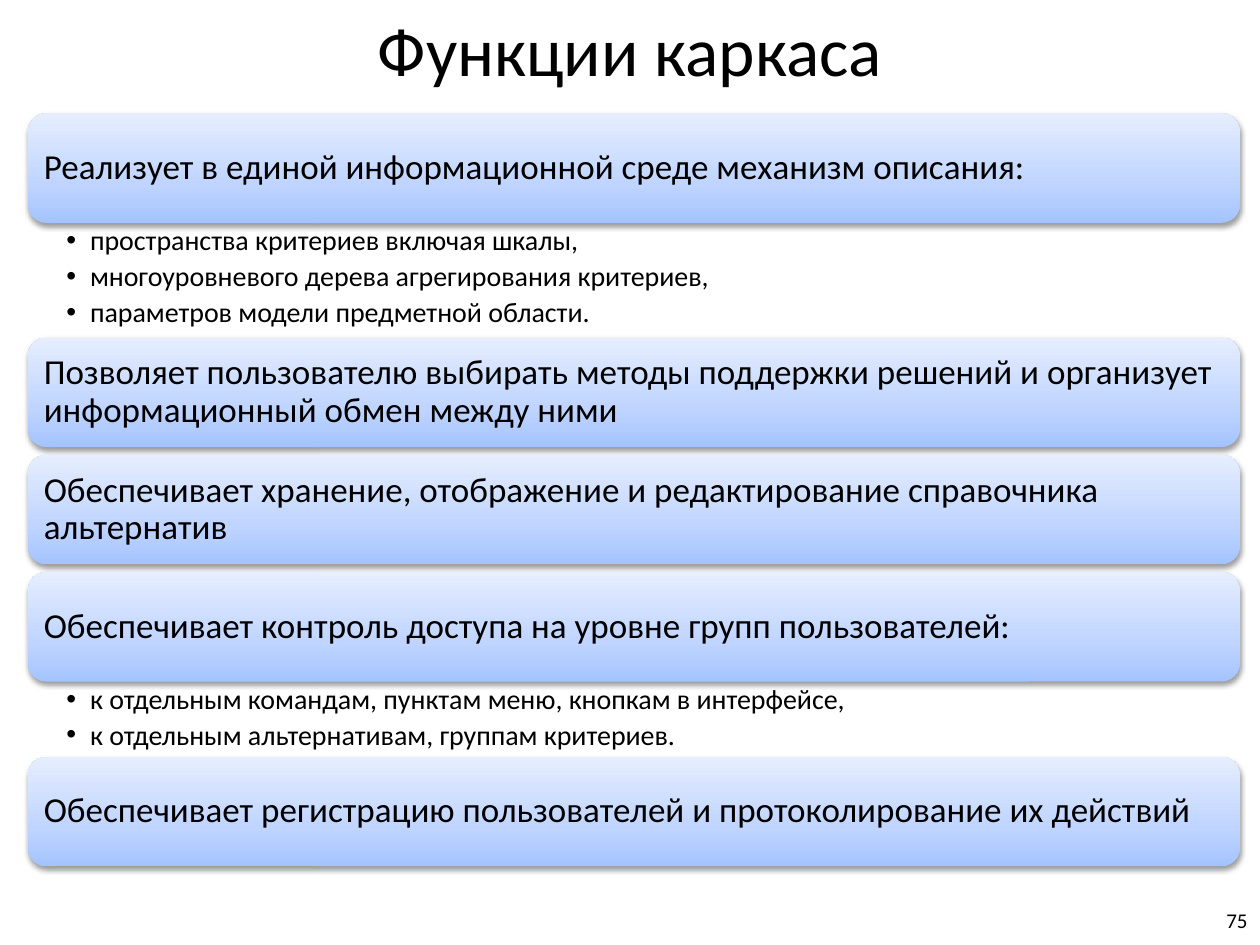
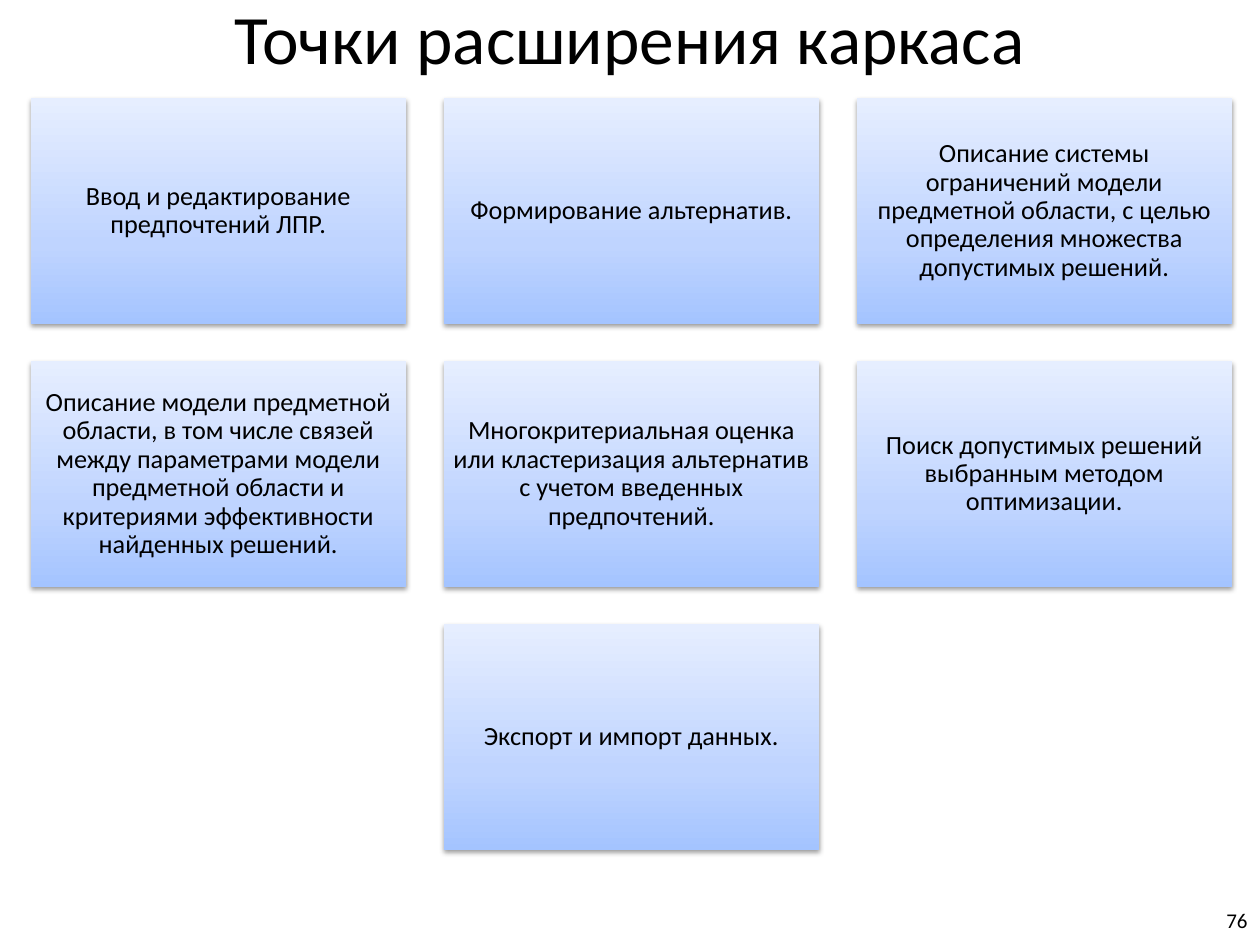
from dataclasses import dataclass

from lxml import etree
from pptx import Presentation
from pptx.dml.color import RGBColor
from pptx.enum.shapes import MSO_SHAPE as Preset
from pptx.enum.text import MSO_ANCHOR as Anchor, MSO_AUTO_SIZE as AutoSize, PP_ALIGN as Align
from pptx.oxml.ns import qn
from pptx.util import Pt

COLORS = {"text": "000000", "deep": "A4C4FF", "middle": "BFD4FF", "light": "E6EEFF", "shadow": "000000"}
PANEL_GRADIENT = ((0, "deep"), (35, "middle"), (100, "light"))
FONT = "Calibri"
SLIDE_WIDTH, SLIDE_HEIGHT = 720, 540


@dataclass
class Box:
    """A rectangle measured in points."""
    left: float
    top: float
    width: float
    height: float

    def lengths(self) -> tuple:
        return Pt(self.left), Pt(self.top), Pt(self.width), Pt(self.height)


@dataclass
class Function:
    """A function of the framework with its details."""
    heading: str
    details: tuple = ()
    details_height: float = 0


FUNCTIONS = (
    Function("Реализует в единой информационной среде механизм описания:",
             ("пространства критериев включая шкалы,",
              "многоуровневого дерева агрегирования критериев,",
              "параметров модели предметной области."), 65.5),
    Function("Позволяет пользователю выбирать методы поддержки решений "
             "и организует информационный обмен между ними"),
    Function("Обеспечивает хранение, отображение и редактирование справочника альтернатив"),
    Function("Обеспечивает контроль доступа на уровне групп пользователей:",
             ("к отдельным командам, пунктам меню, кнопкам в интерфейсе,",
              "к отдельным альтернативам, группам критериев."), 43),
    Function("Обеспечивает регистрацию пользователей и протоколирование их действий"),
)

EXTENSION_POINTS = (
    "Ввод и редактирование предпочтений ЛПР.",
    "Формирование альтернатив.",
    "Описание системы ограничений модели предметной области, с целью "
    "определения множества допустимых решений.",
    "Описание модели предметной области, в том числе связей между параметрами модели "
    "предметной области и критериями эффективности найденных решений.",
    "Многокритериальная оценка или кластеризация альтернатив с учетом введенных предпочтений.",
    "Поиск допустимых решений выбранным методом оптимизации.",
    "Экспорт и импорт данных.",
)


def add_bullet(paragraph, indent: float) -> None:
    properties = paragraph._p.get_or_add_pPr()
    properties.set("marL", str(Pt(indent)))
    properties.set("indent", str(-Pt(indent)))
    etree.SubElement(properties, qn("a:buFont"), typeface="Arial")
    etree.SubElement(properties, qn("a:buChar"), char="•")


def write(shape, *lines: str, size: float, align=Align.LEFT, anchor=Anchor.MIDDLE,
          margins: tuple = (7.2, 3.6, 7.2, 3.6), line_spacing: float = 1,
          space_after: float = 0, bullet_indent: float = 0) -> None:
    frame = shape.text_frame
    frame.word_wrap = True
    frame.auto_size = AutoSize.NONE
    frame.vertical_anchor = anchor
    (frame.margin_left, frame.margin_top,
     frame.margin_right, frame.margin_bottom) = map(Pt, margins)
    for index, line in enumerate(lines):
        paragraph = frame.paragraphs[0] if index == 0 else frame.add_paragraph()
        paragraph.alignment = align
        paragraph.line_spacing = line_spacing
        paragraph.space_after = Pt(space_after)
        if bullet_indent:
            add_bullet(paragraph, bullet_indent)
        run = paragraph.add_run()
        run.text = line
        run.font.name = FONT
        run.font.size = Pt(size)
        run.font.color.rgb = RGBColor.from_string(COLORS["text"])


def add_text(slide, box: Box, *lines: str, **text_format) -> None:
    write(slide.shapes.add_textbox(*box.lengths()), *lines, **text_format)


def add_panel(slide, preset, box: Box, text: str, **text_format) -> None:
    """Draw a gradient panel with a soft shadow and its text."""
    panel = slide.shapes.add_shape(preset, *box.lengths())
    panel.line.fill.background()
    panel.fill.gradient()
    panel.fill.gradient_angle = 90
    properties = panel._element.spPr
    stops = properties.find(qn("a:gradFill")).find(qn("a:gsLst"))
    for stop in list(stops):
        stops.remove(stop)
    for percent, color in PANEL_GRADIENT:
        stop = etree.SubElement(stops, qn("a:gs"), pos=str(percent * 1000))
        etree.SubElement(stop, qn("a:srgbClr"), val=COLORS[color])

    panel.shadow.inherit = False
    shadow = etree.SubElement(properties.find(qn("a:effectLst")), qn("a:outerShdw"),
                              blurRad=str(Pt(3.1)), dist=str(Pt(1.6)),
                              dir="5400000", rotWithShape="0")
    shade = etree.SubElement(shadow, qn("a:srgbClr"), val=COLORS["shadow"])
    etree.SubElement(shade, qn("a:alpha"), val="38000")
    write(panel, text, line_spacing=0.9, **text_format)


def add_titled_slide(deck, title: str, title_box: Box, number: int):
    slide = deck.slides.add_slide(deck.slide_layouts[5])
    heading = slide.shapes.title
    heading.left, heading.top, heading.width, heading.height = title_box.lengths()
    write(heading, title, size=39.6, align=Align.CENTER)
    add_text(slide, Box(552, 511, 168, 29), str(number), size=12, align=Align.RIGHT)
    return slide


def build_functions(deck) -> None:
    slide = add_titled_slide(deck, "Функции каркаса", Box(36, 0, 648, 55.5), 75)
    left, top, width, bar_height, gap = 16, 64.8, 692.5, 62.6, 4.4
    for function in FUNCTIONS:
        add_panel(slide, Preset.ROUNDED_RECTANGLE, Box(left, top, width, bar_height),
                  function.heading, size=20, margins=(6, 6, 6, 6))
        top += bar_height
        if function.details:
            add_text(slide, Box(left, top, width, function.details_height), *function.details,
                     size=16, anchor=Anchor.TOP, margins=(22, 2, 11.5, 2),
                     line_spacing=0.9, space_after=3.2, bullet_indent=13.5)
        top += function.details_height or gap


def build_extension_points(deck) -> None:
    slide = add_titled_slide(deck, "Точки расширения каркаса", Box(36, 8, 648, 26.5), 76)
    columns, left, top, width, height, gap = 3, 17.5, 56.2, 214.5, 128.8, 21.5
    for index, point in enumerate(EXTENSION_POINTS):
        row, column = divmod(index, columns)
        in_row = min(columns, len(EXTENSION_POINTS) - row * columns)
        # A short row is centred
        column += (columns - in_row) / 2
        card = Box(left + column * (width + gap), top + row * (height + gap), width, height)
        add_panel(slide, Preset.RECTANGLE, card, point, size=15,
                  align=Align.CENTER, margins=(4.5, 4.5, 4.5, 4.5))


def main() -> None:
    deck = Presentation()
    deck.slide_width, deck.slide_height = Pt(SLIDE_WIDTH), Pt(SLIDE_HEIGHT)
    build_functions(deck)
    build_extension_points(deck)
    deck.save("out.pptx")


if __name__ == "__main__":
    main()
